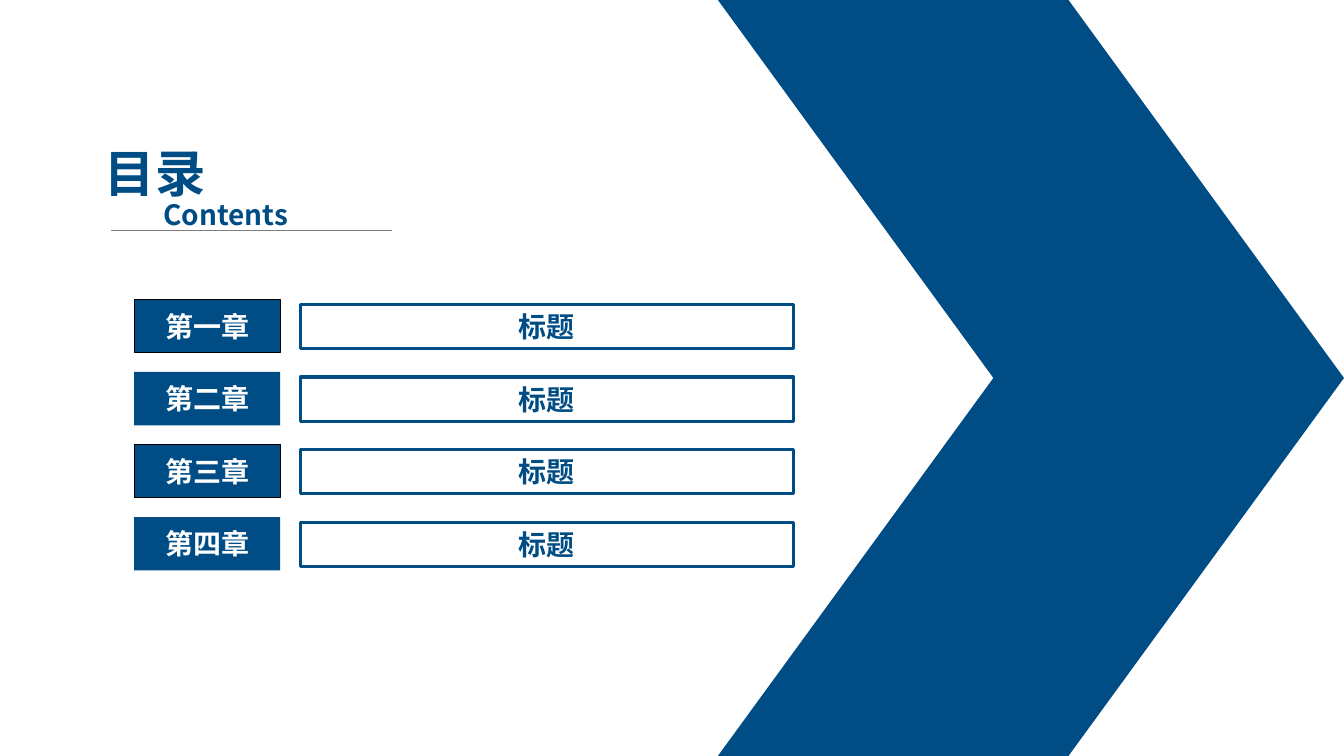
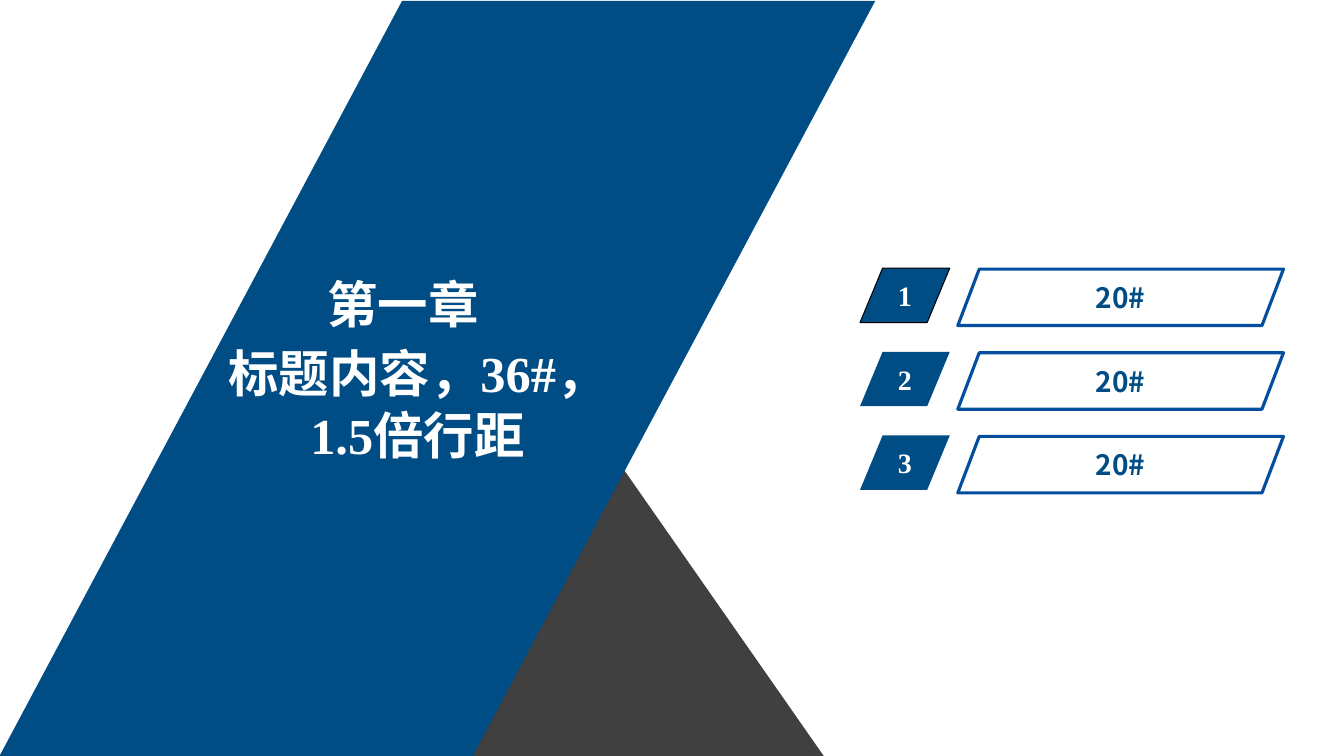
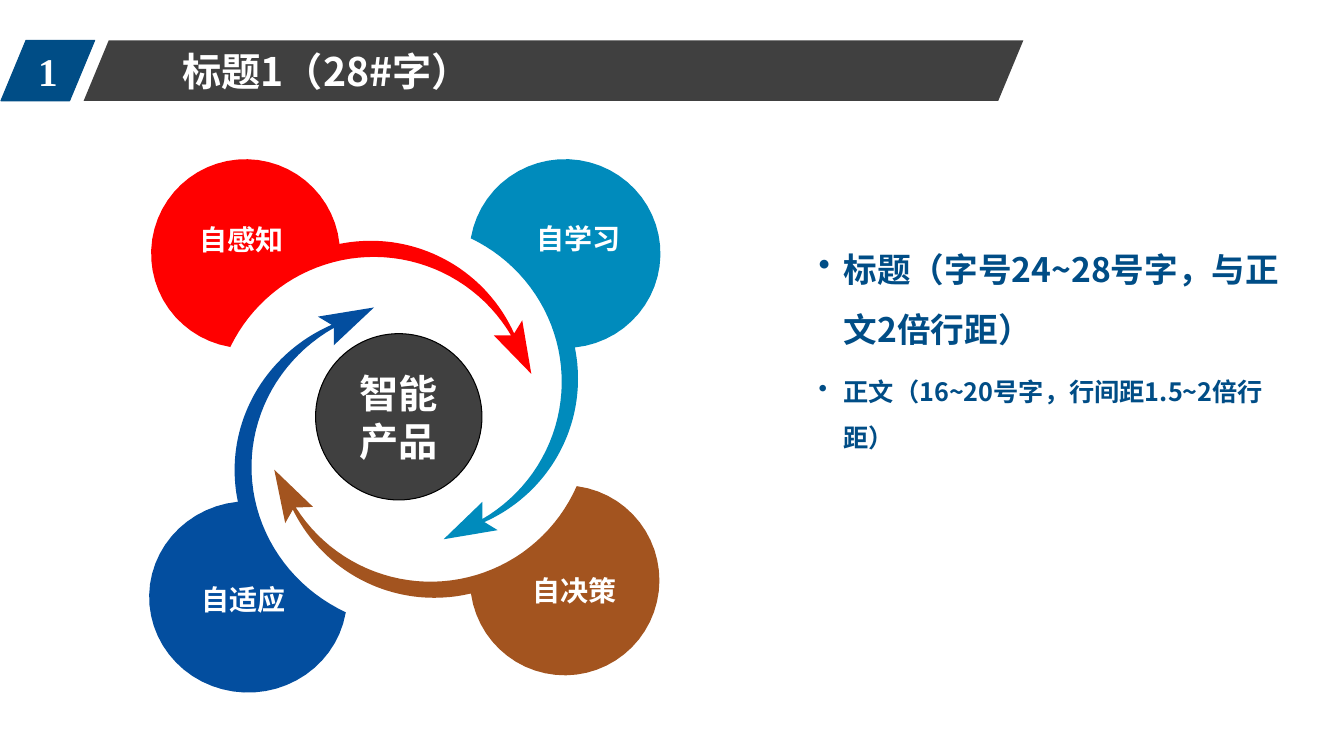
from math import atan2, cos, hypot, pi, radians, sin

from lxml import etree
from pptx import Presentation
from pptx.dml.color import RGBColor
from pptx.enum.shapes import MSO_CONNECTOR, MSO_SHAPE
from pptx.enum.text import MSO_ANCHOR, MSO_AUTO_SIZE, PP_ALIGN
from pptx.oxml.ns import qn
from pptx.util import Inches, Pt

NAVY = RGBColor(0x00, 0x4D, 0x86)
BLUE = RGBColor(0x03, 0x4E, 0x9F)
TEAL = RGBColor(0x00, 0x8B, 0xBC)
RED = RGBColor(0xFF, 0x00, 0x00)
BROWN = RGBColor(0xA3, 0x54, 0x1F)
DARK = RGBColor(0x40, 0x40, 0x40)
GRAY = RGBColor(0x7F, 0x7F, 0x7F)
BLACK = RGBColor(0x00, 0x00, 0x00)
WHITE = RGBColor(0xFF, 0xFF, 0xFF)

SANS = "Noto Sans CJK SC"
SERIF = "Times New Roman"
SLANT = 0.415

RECT = MSO_SHAPE.RECTANGLE
SKEW = MSO_SHAPE.PARALLELOGRAM
CHEVRON = MSO_SHAPE.CHEVRON
OVAL = MSO_SHAPE.OVAL
STRAIGHT = MSO_CONNECTOR.STRAIGHT
LEFT = PP_ALIGN.LEFT
CENTER = PP_ALIGN.CENTER
MIDDLE = MSO_ANCHOR.MIDDLE
TOP = MSO_ANCHOR.TOP
FIXED = MSO_AUTO_SIZE.NONE


def inches(box):
    return [Inches(value) for value in box]


def style(para, size, color, face=SANS, align=CENTER, gap=None):
    font = para.font
    font.name, font.size, font.bold = face, Pt(size), True
    font.color.rgb = color
    para.alignment = align
    if gap:
        para.line_spacing = Pt(gap)


def set_asian(shape):
    for props in shape.element.iter(qn("a:defRPr")):
        etree.SubElement(props, qn("a:ea")).set("typeface", SANS)


def write(shape, text, size, color, face=SANS, align=CENTER, gap=None, inset=None):
    frame = shape.text_frame
    frame.word_wrap = True
    frame.auto_size = FIXED
    frame.vertical_anchor = MIDDLE
    if inset is not None:
        frame.margin_left = frame.margin_right = Inches(inset)
        frame.margin_top = frame.margin_bottom = Inches(inset)
    frame.text = text
    style(frame.paragraphs[0], size, color, face, align, gap)
    set_asian(shape)


def paint(shape, fill=None, line=None, width=0.75):
    shape.shadow.inherit = False
    if fill is None:
        shape.fill.background()
    else:
        shape.fill.solid()
        shape.fill.fore_color.rgb = fill
    if line is None:
        shape.line.fill.background()
    else:
        shape.line.color.rgb = line
        shape.line.width = Pt(width)


def add_block(slide, kind, box, fill=None, line=None, width=0.75, adjust=None):
    shape = slide.shapes.add_shape(kind, *inches(box))
    if adjust is not None:
        shape.adjustments[0] = adjust
    paint(shape, fill, line, width)
    return shape


def add_label(slide, box, text, size, color, **look):
    label = slide.shapes.add_textbox(*inches(box))
    write(label, text, size, color, **look)


def add_outline(slide, points, fill):
    spots = [(Inches(x), Inches(y)) for x, y in points]
    pen = slide.shapes.build_freeform(*spots[0], scale=1.0)
    pen.add_line_segments(spots[1:], close=True)
    paint(pen.convert_to_shape(), fill)


def add_tag(slide, box, text, size, line=None):
    tag = add_block(slide, SKEW, box, NAVY, line, adjust=SLANT)
    write(tag, text, size, WHITE, SERIF)


def set_title(slide, box, text, size, color, **look):
    title = slide.shapes.title
    slide.shapes.element.append(title.element)
    title.left, title.top, title.width, title.height = inches(box)
    write(title, text, size, color, **look)


def arc(center, start, end, steps=40):
    cx, cy = center
    first = atan2(start[1] - cy, start[0] - cx)
    sweep = atan2(end[1] - cy, end[0] - cx) - first
    sweep -= 2 * pi * (sweep > 0)
    radius = hypot(start[0] - cx, start[1] - cy)
    turns = [first + sweep * step / steps for step in range(steps + 1)]
    return [(cx + radius * cos(turn), cy + radius * sin(turn)) for turn in turns]


def petal():
    head = [(5.27, 3.71), (5.18, 3.18)]
    outer = arc((3.68, 3.95), (5.1, 3.31), (3.37, 2.42))
    disc = arc((2.44, 2.52), (3.37, 2.42), (2.28, 3.44))
    inner = arc((3.71, 4.13), (5.07, 3.33), (2.28, 3.44))[::-1]
    return head + outer + disc + inner + [(4.9, 3.33)]


def fit(points, angle, box):
    c, s = cos(radians(angle)), sin(radians(angle))
    turned = [(x * c - y * s, x * s + y * c) for x, y in points]
    axes = []
    for values, start, size in zip(zip(*turned), box[:2], box[2:]):
        low, high = min(values), max(values)
        axes.append([start + size * (v - low) / (high - low) for v in values])
    return list(zip(*axes))


def add_bullets(slide, box, items):
    body = slide.shapes.add_textbox(*inches(box))
    frame = body.text_frame
    frame.word_wrap = True
    frame.vertical_anchor = TOP
    for index, (text, size, gap) in enumerate(items):
        para = frame.add_paragraph() if index else frame.paragraphs[0]
        para.text = text
        style(para, size, NAVY, align=LEFT, gap=gap)
        if index:
            para.space_before = Pt(8)
    for props in body.element.iter(qn("a:defRPr")):
        parent = props.getparent()
        parent.set("marL", str(Inches(0.25)))
        parent.set("indent", str(-Inches(0.25)))
        mark = etree.Element(qn("a:buChar"))
        mark.set("char", "•")
        props.addprevious(mark)
    set_asian(body)


def add_rule(slide, left, right, y):
    rule = slide.shapes.add_connector(STRAIGHT, *inches((left, y, right, y)))
    rule.line.color.rgb = GRAY
    rule.line.width = Pt(0.5)
    etree.SubElement(rule.element.spPr, qn("a:effectLst"))


def make_contents(slide):
    add_block(slide, CHEVRON, (7.12, 0, 6.21, 7.5), NAVY, adjust=0.44)
    for row, name in enumerate(("第一章", "第二章", "第三章", "第四章")):
        top = 2.97 + 0.72 * row
        entry = add_block(slide, RECT, (2.98, top + 0.05, 4.89, 0.44), None, NAVY, 2.25)
        write(entry, "标题", 20, NAVY)
        edge = None if row % 2 else BLACK
        chapter = add_block(slide, RECT, (1.33, top, 1.45, 0.53), NAVY, edge)
        write(chapter, name, 20, WHITE)
    set_title(slide, (0.94, 1.36, 1.57, 0.71), "目录", 36, NAVY, align=LEFT)
    add_rule(slide, 1.1, 3.89, 2.29)
    add_label(slide, (1.52, 1.91, 1.57, 0.44), "Contents", 20, NAVY, align=LEFT)


def make_chapter(slide):
    add_outline(slide, [(4.65, 7.5), (6.16, 4.62), (8.17, 7.5)], DARK)
    add_block(slide, SKEW, (-0.01, 0.01, 8.69, 7.5), NAVY, adjust=0.533)
    add_label(slide, (3.15, 2.66, 1.81, 0.7), "第一章", 36, WHITE, align=LEFT)
    set_title(slide, (2.03, 3.36, 4.22, 1.27), "标题内容，36#，1.5倍行距", 36, WHITE,
              face=SERIF, gap=44)
    for row in range(3):
        top = 2.66 + 0.83 * row
        add_tag(slide, (8.53, top, 0.89, 0.54), str(row + 1), 20, None if row else BLACK)
        entry = add_block(slide, SKEW, (9.5, top + 0.01, 3.23, 0.56), None, BLUE, 2.25, 0.38)
        write(entry, "20#", 20, NAVY)


def make_cycle(slide):
    add_block(slide, SKEW, (0.83, 0.4, 9.32, 0.6), DARK, adjust=SLANT)
    set_title(slide, (1.71, 0.4, 7.5, 0.6), "标题1（28#字）", 28, WHITE, align=LEFT)
    add_tag(slide, (0.01, 0.4, 0.93, 0.6), "1", 28, NAVY)
    add_bullets(slide, (8.02, 2.22, 4.82, 2.45), [
        ("标题（字号24~28号字，与正文2倍行距）", 24, 43),
        ("正文（16~20号字，行间距1.5~2倍行距）", 18, 33),
    ])
    petals = [
        (RED, 0, (1.5, 1.58, 3.77, 2.13), "自感知", (1.66, 2.2, 1.48, 0.34)),
        (TEAL, 90, (4.4, 1.58, 2.15, 3.77), "自学习", (4.97, 2.19, 1.53, 0.34)),
        (BROWN, 178, (2.72, 4.66, 3.82, 2.04), "自决策", (4.71, 5.69, 1.98, 0.34)),
        (BLUE, 270, (1.48, 3.05, 2.23, 3.82), "自适应", (1.43, 5.78, 1.98, 0.34)),
    ]
    shape = petal()
    for color, angle, box, name, spot in petals:
        add_outline(slide, fit(shape, angle, box), color)
        add_label(slide, spot, name, 20, WHITE, inset=0)
    core = add_block(slide, OVAL, (3.13, 3.31, 1.65, 1.65), DARK, BLACK)
    write(core, "智能产品", 28, WHITE, SERIF, gap=34)


def main():
    deck = Presentation()
    deck.slide_width, deck.slide_height = Inches(13.33), Inches(7.5)
    for make in (make_contents, make_chapter, make_cycle):
        make(deck.slides.add_slide(deck.slide_layouts[5]))
    deck.save("out.pptx")


if __name__ == "__main__":
    main()
